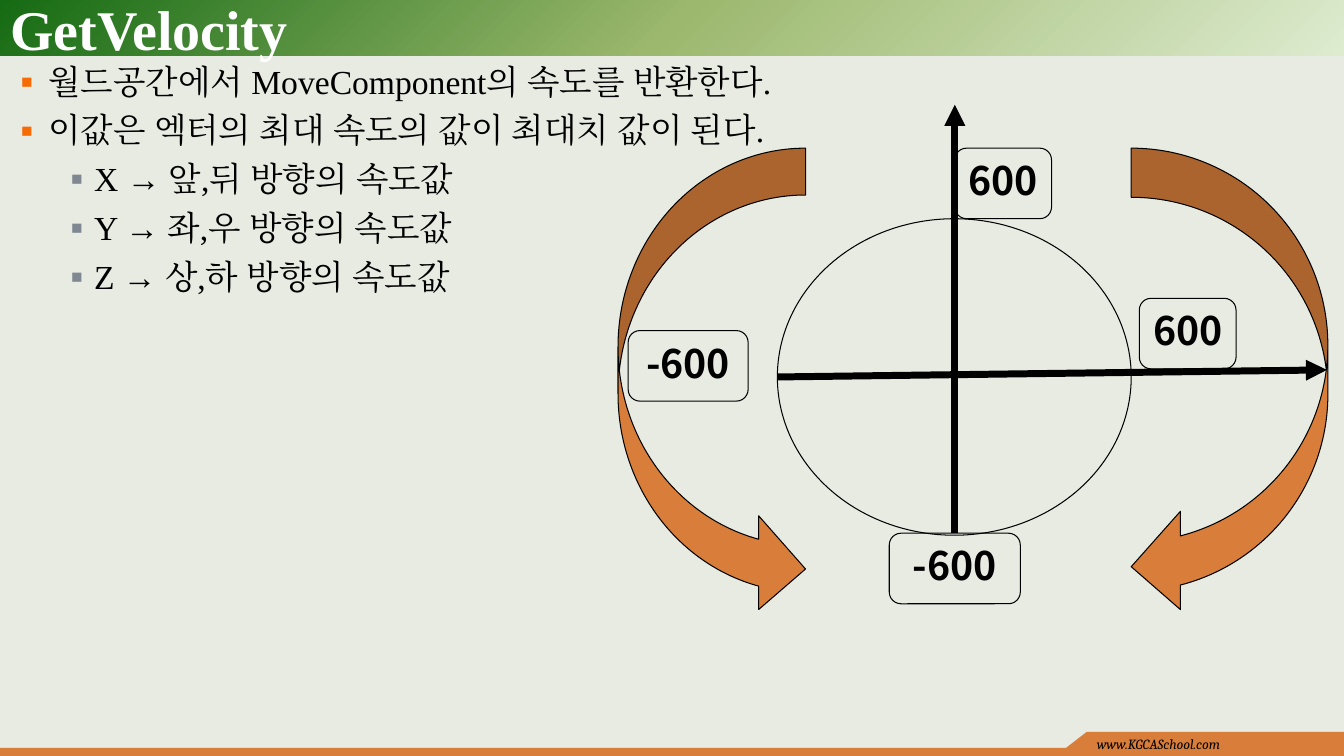
from lxml import etree
from pptx import Presentation
from pptx.dml.color import RGBColor
from pptx.enum.shapes import MSO_CONNECTOR, MSO_SHAPE
from pptx.enum.text import MSO_ANCHOR, MSO_AUTO_SIZE, PP_ALIGN
from pptx.oxml import parse_xml
from pptx.oxml.ns import nsdecls, qn
from pptx.util import Inches, Pt

RECT = MSO_SHAPE.RECTANGLE
ROUNDED = MSO_SHAPE.ROUNDED_RECTANGLE
OVAL = MSO_SHAPE.OVAL
CURVED_ARROW = MSO_SHAPE.CURVED_RIGHT_ARROW
STRAIGHT = MSO_CONNECTOR.STRAIGHT
TOP, MIDDLE = MSO_ANCHOR.TOP, MSO_ANCHOR.MIDDLE
LEFT, CENTER = PP_ALIGN.LEFT, PP_ALIGN.CENTER
NO_FIT = MSO_AUTO_SIZE.NONE

COLORS = {
    "background": "E7EBE2", "orange": "D87D3A", "black": "000000", "white": "FFFFFF",
    "bullet": "F76B04", "sub_bullet": "7F8792",
    "band_light": "DDEBCF", "band_mid": "9CB86E", "band_dark": "156B13",
}
SERIF, FOOTER_FONT, LABEL_FONT = "Times New Roman", "Cambria", "Noto Sans CJK KR"


def rgb(name):
    return RGBColor.from_string(COLORS[name])


class SlideBuilder:
    def __init__(self, slide):
        self.slide = slide
        self.shapes = slide.shapes
        slide.background.fill.solid()
        slide.background.fill.fore_color.rgb = rgb("background")

    def run(self, paragraph, text, size, font, color="black", bold=False, italic=False):
        run = paragraph.add_run()
        run.text = text
        run.font.size, run.font.name = Pt(size), font
        run.font.bold, run.font.italic = bold, italic
        run.font.color.rgb = rgb(color)
        # Korean glyphs follow the same font setting
        etree.SubElement(run.font._element, qn("a:ea")).set("typeface", font)

    def paint(self, shape, fill, outlined):
        shape.shadow.inherit = False
        if fill:
            shape.fill.solid()
            shape.fill.fore_color.rgb = rgb(fill)
        else:
            shape.fill.background()
        if outlined:
            shape.line.color.rgb = rgb("black")
            shape.line.width = Pt(0.75)
        else:
            shape.line.fill.background()
        return shape

    def shape(self, kind, box, fill=None, outlined=True):
        return self.paint(self.shapes.add_shape(kind, *map(Inches, box)), fill, outlined)

    def gradient_band(self, box, stops):
        band = self.shape(RECT, box, outlined=False)
        band.fill.gradient()
        stop_xml = "".join(
            f'<a:gs pos="{pos * 1000}"><a:srgbClr val="{COLORS[name]}"/></a:gs>'
            for pos, name in stops)
        gradient = parse_xml(
            f'<a:gradFill {nsdecls("a")} rotWithShape="1"><a:gsLst>{stop_xml}</a:gsLst>'
            '<a:path path="circle"><a:fillToRect l="100000" t="100000"/></a:path></a:gradFill>')
        properties = band._element.spPr
        properties.replace(properties.find(qn("a:gradFill")), gradient)

    def polygon(self, points, fill):
        corners = [(Inches(x), Inches(y)) for x, y in points]
        builder = self.shapes.build_freeform(*corners[0], scale=1.0)
        builder.add_line_segments(corners[1:], close=True)
        self.paint(builder.convert_to_shape(), fill, outlined=False)

    def text_box(self, box, text, size, font, **style):
        frame = self.shapes.add_textbox(*map(Inches, box)).text_frame
        frame.word_wrap = True
        self.run(frame.paragraphs[0], text, size, font, **style)

    def placeholder(self, holder, box, anchor):
        holder.left, holder.top, holder.width, holder.height = map(Inches, box)
        holder._element.getparent().append(holder._element)  # bring above the band
        frame = holder.text_frame
        frame.word_wrap, frame.auto_size = True, NO_FIT
        frame.vertical_anchor = anchor
        return frame

    def title(self, box, text):
        paragraph = self.placeholder(self.shapes.title, box, MIDDLE).paragraphs[0]
        paragraph.alignment = LEFT
        self.run(paragraph, text, 40, SERIF, color="white", bold=True)

    def bullets(self, box, items):
        frame = self.placeholder(self.slide.placeholders[1], box, TOP)
        levels = [(0.38, 0.38, "bullet"), (0.81, 0.31, "sub_bullet")]
        for index, (level, text) in enumerate(items):
            paragraph = frame.add_paragraph() if index else frame.paragraphs[0]
            margin, hanging, color = levels[level]
            properties = paragraph._p.get_or_add_pPr()
            properties.set("marL", str(Inches(margin)))
            properties.set("indent", str(-Inches(hanging)))
            for xml in (f'<a:buClr {nsdecls("a")}><a:srgbClr val="{COLORS[color]}"/></a:buClr>',
                        f'<a:buFont {nsdecls("a")} typeface="{LABEL_FONT}"/>',
                        f'<a:buChar {nsdecls("a")} char="▪"/>'):
                properties.append(parse_xml(xml))
            paragraph.level, paragraph.alignment = level, LEFT
            paragraph.space_before = Pt(6 if index else 0)
            self.run(paragraph, text, 24, SERIF)

    def axis(self, start, end):
        line = self.shapes.add_connector(STRAIGHT, *map(Inches, start + end))
        line.line.color.rgb = rgb("black")
        line.line.width = Pt(5)
        etree.SubElement(line.line._get_or_add_ln(), qn("a:tailEnd")).set("type", "triangle")
        etree.SubElement(line._element.spPr, qn("a:effectLst"))

    def speed_label(self, box, text):
        frame = self.shape(ROUNDED, box).text_frame
        frame.word_wrap = False
        frame.vertical_anchor = TOP
        frame.paragraphs[0].alignment = CENTER
        self.run(frame.paragraphs[0], text, 28, LABEL_FONT, bold=True)

    def turn_arrow(self, box, mirrored=False):
        arrow = self.shape(CURVED_ARROW, box, fill="orange")
        if mirrored:
            arrow._element.spPr.find(qn("a:xfrm")).set("flipH", "1")


def main():
    deck = Presentation()
    deck.slide_width, deck.slide_height = Inches(13.33), Inches(7.5)
    page = SlideBuilder(deck.slides.add_slide(deck.slide_layouts[1]))

    # Header band and footer
    page.gradient_band((0, 0, 13.33, 0.55),
                       [(0, "band_light"), (50, "band_mid"), (100, "band_dark")])
    page.shape(RECT, (0, 7.42, 13.33, 0.08), "orange", outlined=False)
    page.shape(RECT, (10.78, 7.26, 2.55, 0.17), "orange", outlined=False)
    page.polygon([(10.56, 7.43), (10.78, 7.43), (10.78, 7.26)], "orange")
    page.text_box((10.78, 7.25, 2.55, 0.25), "www.KGCASchool.com", 10, FOOTER_FONT, italic=True)

    # Title and explanation
    page.bullets((0, 0.55, 13.33, 6.48), [
        (0, "월드공간에서 MoveComponent의 속도를 반환한다."),
        (0, "이값은 엑터의 최대 속도의 값이 최대치 값이 된다."),
        (1, "X → 앞,뒤 방향의 속도값"),
        (1, "Y → 좌,우 방향의 속도값"),
        (1, "Z → 상,하 방향의 속도값"),
    ])
    page.title((0, 0, 8.44, 0.55), "GetVelocity")

    # Velocity circle, axes and limits
    page.shape(OVAL, (7.71, 2.17, 3.51, 3.14))
    page.axis((9.47, 5.29), (9.47, 1.04))
    for left, top, width, speed in [(11.3, 2.96, 0.96, "600"), (6.23, 3.28, 1.19, "-600"),
                                    (8.82, 5.29, 1.3, "-600"), (9.47, 1.47, 0.96, "600")]:
        page.speed_label((left, top, width, 0.7), speed)

    # Turning directions
    page.turn_arrow((6.13, 1.47, 1.86, 4.64))
    page.turn_arrow((11.22, 1.47, 1.95, 4.64), mirrored=True)
    page.axis((7.71, 3.74), (13.16, 3.67))

    deck.save("out.pptx")


if __name__ == "__main__":
    main()
